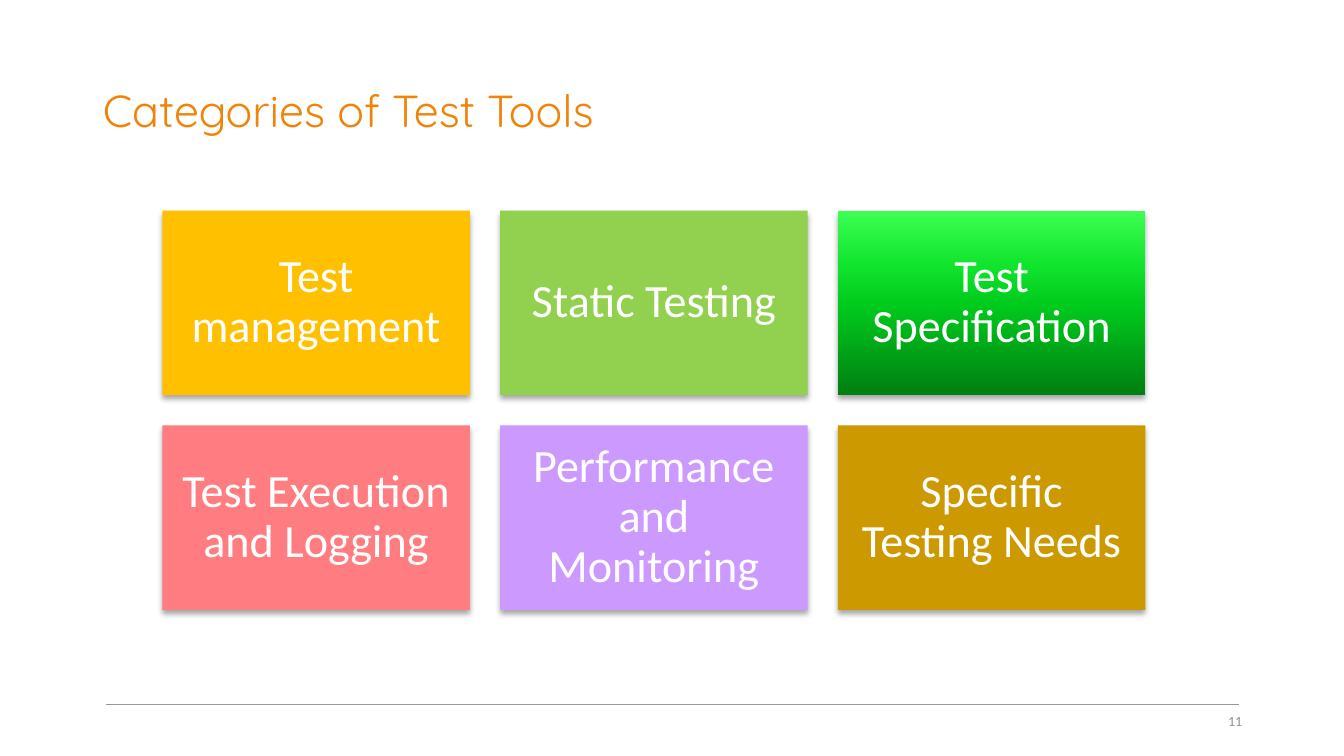
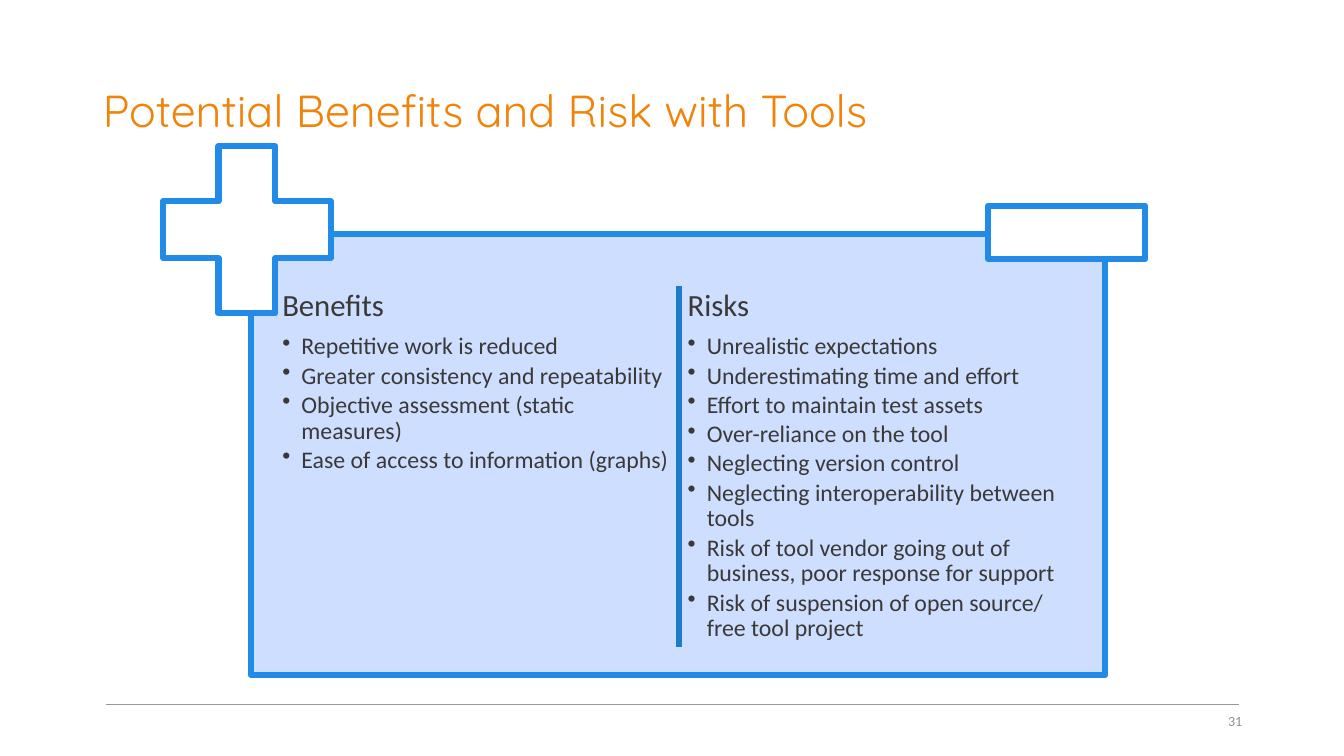
from lxml import etree
from pptx import Presentation
from pptx.dml.color import RGBColor
from pptx.enum.shapes import MSO_CONNECTOR, MSO_SHAPE
from pptx.enum.text import MSO_ANCHOR, MSO_AUTO_SIZE, PP_ALIGN
from pptx.oxml import parse_xml
from pptx.oxml.ns import nsdecls, qn
from pptx.util import Inches, Pt

COLORS = {
    "title": "F18309", "rule": "9B9797", "number": "929191",
    "white": "FFFFFF", "text": "3B3838",
    "panel": "CDDEFF", "outline": "218BE7", "divider": "1D7BCC",
}
GREEN_FADE = [(0, "007F12"), (50, "00CC1D"), (70, "11E42D"), (100, "3CFF52")]
CATEGORIES = [
    ("Test management", "FFC000"),
    ("Static Testing", "92D050"),
    ("Test Specification", GREEN_FADE),
    ("Test Execution and Logging", "FF7C80"),
    ("Performance and Monitoring", "CC99FF"),
    ("Specific Testing Needs", "CC9900"),
]
COLUMNS = [
    ("Benefits", [
        "Repetitive work is reduced",
        "Greater consistency and repeatability",
        "Objective assessment (static measures)",
        "Ease of access to information (graphs)",
    ]),
    ("Risks", [
        "Unrealistic expectations",
        "Underestimating time and effort",
        "Effort to maintain test assets",
        "Over-reliance on the tool",
        "Neglecting version control",
        "Neglecting interoperability between tools",
        "Risk of tool vendor going out of business, poor response for support",
        "Risk of suspension of open source/ free tool project",
    ]),
]
TITLE = {"name": "Quicksand", "size": Pt(32), "color": COLORS["title"]}
NUMBER = {"name": "Calibri", "size": Pt(10), "color": COLORS["number"]}
TILE = {"name": "Calibri", "size": Pt(33), "color": COLORS["white"]}
HEADING = {"name": "Calibri", "size": Pt(22), "color": COLORS["text"]}
BULLET = HEADING | {"size": Pt(17)}
OUTLINE_WIDTH = Pt(4.33)


def box(left, top, width, height):
    return [Inches(v) for v in (left, top, width, height)]


def set_all(target, values):
    for name, value in values.items():
        setattr(target, name, value)


def write(paragraph, text, style, **layout):
    paragraph.text = text
    set_all(paragraph, {"line_spacing": 0.9} | layout)
    font = paragraph.runs[0].font
    set_all(font, {"name": style["name"], "size": style["size"]})
    font.color.rgb = RGBColor.from_string(style["color"])


def set_frame(frame, anchor, inset=None):
    set_all(frame, {"word_wrap": True, "auto_size": MSO_AUTO_SIZE.NONE,
                    "vertical_anchor": anchor})
    if inset is not None:
        sides = ("left", "top", "right", "bottom")
        set_all(frame, {f"margin_{side}": Inches(inset) for side in sides})


def add_line(slide, start, end, color, width):
    line = slide.shapes.add_connector(
        MSO_CONNECTOR.STRAIGHT, *[Inches(v) for v in start + end])
    line.line.color.rgb = RGBColor.from_string(color)
    line.line.width = width
    etree.SubElement(line._element.spPr, qn("a:effectLst"))


def add_block(slide, kind, place, color, outline=None):
    block = slide.shapes.add_shape(kind, *box(*place))
    block.shadow.inherit = False
    if isinstance(color, list):
        fade(block, color)
    else:
        block.fill.solid()
        block.fill.fore_color.rgb = RGBColor.from_string(color)
    if outline:
        block.line.color.rgb = RGBColor.from_string(outline)
        block.line.width = OUTLINE_WIDTH
    else:
        block.line.fill.background()
    return block


def fade(block, stops):
    """Fill from bottom to top with (percent, color) stops."""
    block.fill.gradient()
    block.fill.gradient_angle = 90
    stop_list = block._element.spPr.find(".//" + qn("a:gsLst"))
    for old in list(stop_list):
        stop_list.remove(old)
    for percent, color in stops:
        stop = etree.SubElement(stop_list, qn("a:gs"), pos=str(percent * 1000))
        etree.SubElement(stop, qn("a:srgbClr"), val=color)


def drop_shadow(block):
    block._element.spPr.find(qn("a:effectLst")).append(parse_xml(
        f'<a:outerShdw {nsdecls("a")} blurRad="{Pt(4)}" dist="{Pt(3)}" '
        'dir="5400000" rotWithShape="0"><a:srgbClr val="000000">'
        '<a:alpha val="35000"/></a:srgbClr></a:outerShdw>'))


def add_bullet(paragraph):
    props = paragraph._p.get_or_add_pPr()
    props.set("marL", str(Inches(0.19)))
    props.set("indent", str(Inches(-0.19)))
    etree.SubElement(props, qn("a:buChar"), char="•")


def add_slide(deck, title, number):
    slide = deck.slides.add_slide(deck.slide_layouts[5])
    add_line(slide, (1.05, 6.99), (12.29, 6.99), COLORS["rule"], Pt(1))
    heading = slide.shapes.title
    set_all(heading, dict(zip(("left", "top", "width", "height"),
                              box(0.92, 0.4, 11.5, 1.45))))
    set_frame(heading.text_frame, MSO_ANCHOR.MIDDLE)
    write(heading.text_frame.paragraphs[0], title, TITLE, alignment=PP_ALIGN.LEFT)
    frame = slide.shapes.add_textbox(*box(9.42, 6.95, 3, 0.4)).text_frame
    set_frame(frame, MSO_ANCHOR.MIDDLE)
    write(frame.paragraphs[0], number, NUMBER, alignment=PP_ALIGN.RIGHT,
          line_spacing=1.0)
    return slide


def build_categories(deck):
    slide = add_slide(deck, "Categories of Test Tools", "11")
    width, height, gap = 3.05, 1.83, 0.3
    for i, (name, color) in enumerate(CATEGORIES):
        row, column = divmod(i, 3)
        place = (1.61 + column * (width + gap), 2.09 + row * (height + gap),
                 width, height)
        tile = add_block(slide, MSO_SHAPE.RECTANGLE, place, color)
        drop_shadow(tile)
        set_frame(tile.text_frame, MSO_ANCHOR.MIDDLE, 0.14)
        write(tile.text_frame.paragraphs[0], name, TILE, alignment=PP_ALIGN.CENTER)


def build_benefits_and_risks(deck):
    slide = add_slide(deck, "Potential Benefits and Risk with Tools", "31")
    outline = COLORS["outline"]
    add_block(slide, MSO_SHAPE.RECTANGLE, (2.49, 2.32, 8.47, 4.38),
              COLORS["panel"], outline)
    for i, (heading, points) in enumerate(COLUMNS):
        place = box(2.75 + i * 4.02, 2.83, 3.93, 3.74)
        frame = slide.shapes.add_textbox(*place).text_frame
        set_frame(frame, MSO_ANCHOR.TOP, 0.05)
        write(frame.paragraphs[0], heading, HEADING, space_after=Pt(7.7))
        for point in points:
            paragraph = frame.add_paragraph()
            write(paragraph, point, BULLET, space_after=Pt(2.55))
            add_bullet(paragraph)
    plus = add_block(slide, MSO_SHAPE.CROSS, (1.62, 1.45, 1.66, 1.66),
                     COLORS["white"], outline)
    plus.adjustments[0] = 0.33
    add_block(slide, MSO_SHAPE.RECTANGLE, (9.8, 2.04, 1.56, 0.53),
              COLORS["white"], outline)
    add_line(slide, (6.73, 2.84), (6.73, 6.42), COLORS["divider"], OUTLINE_WIDTH)


def main():
    deck = Presentation()
    deck.slide_width, deck.slide_height = Inches(13.33), Inches(7.5)
    build_categories(deck)
    build_benefits_and_risks(deck)
    deck.save("out.pptx")


if __name__ == "__main__":
    main()
